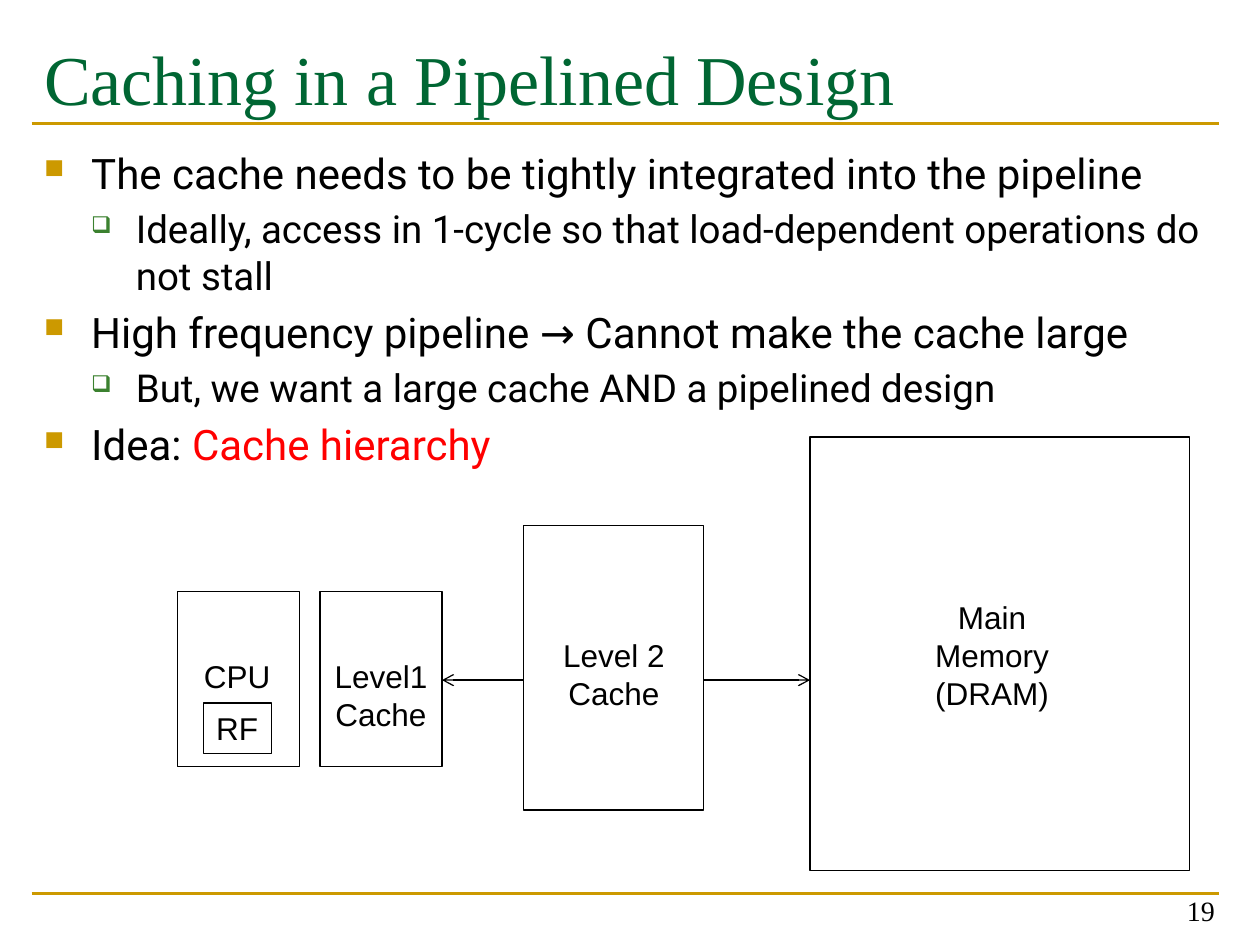
from lxml import etree
from pptx import Presentation
from pptx.dml.color import RGBColor
from pptx.enum.shapes import MSO_CONNECTOR as Connector, MSO_SHAPE as Shape
from pptx.enum.text import MSO_ANCHOR as Anchor, PP_ALIGN as Align
from pptx.oxml.ns import qn
from pptx.util import Cm, Pt

GREEN, GOLD, BLACK, WHITE, RED = "006633", "CC9900", "000000", "FFFFFF", "FF0000"
LEVELS = [
    {"size": 24, "margin": 0.95, "hang": 0.95, "bullet": "■", "color": GOLD, "scale": 65},
    {"size": 22, "margin": 1.85, "hang": 0.9, "bullet": "❑", "color": "3B812F", "scale": 60},
]
POINTS = [
    (0, [("The cache needs to be tightly integrated into the pipeline", BLACK)]),
    (1, [("Ideally, access in 1-cycle so that load-dependent operations do not stall", BLACK)]),
    (0, [("High frequency pipeline → Cannot make the cache large", BLACK)]),
    (1, [("But, we want a large cache AND a pipelined design", BLACK)]),
    (0, [("Idea: ", BLACK), ("Cache hierarchy", RED)]),
]


def rgb(color):
    """Turn a hex string into a colour."""
    return RGBColor.from_string(color)


def style_font(font, name, size, color=BLACK):
    """Set typeface, size and colour."""
    font.name, font.size = name, Pt(size)
    font.color.rgb = rgb(color)


def write_lines(frame, lines, name, size, color=BLACK, align=Align.LEFT):
    """Fill a text frame with one paragraph per line."""
    for index, line in enumerate(lines):
        paragraph = frame.add_paragraph() if index else frame.paragraphs[0]
        paragraph.text, paragraph.alignment = line, align
        style_font(paragraph.font, name, size, color)


def add_text(slide, left, top, width, height, wrap=True):
    """Add an empty text box and return its frame."""
    frame = slide.shapes.add_textbox(Cm(left), Cm(top), Cm(width), Cm(height)).text_frame
    frame.word_wrap = wrap
    return frame


def add_line(slide, start, end, color, width, arrows=False):
    """Draw a straight line, with open arrowheads at both ends if asked."""
    line = slide.shapes.add_connector(Connector.STRAIGHT, *map(Cm, start + end))
    line.line.color.rgb, line.line.width = rgb(color), Pt(width)
    if arrows:
        for end_tag in ("a:headEnd", "a:tailEnd"):
            etree.SubElement(line.line._get_or_add_ln(), qn(end_tag), type="arrow")
    etree.SubElement(line._element.spPr, qn("a:effectLst"))


def add_box(slide, left, top, width, height, fill=None):
    """Draw a thin black rectangle and return it."""
    shape = slide.shapes.add_shape(Shape.RECTANGLE, Cm(left), Cm(top), Cm(width), Cm(height))
    shape.shadow.inherit = False
    if fill:
        shape.fill.solid()
        shape.fill.fore_color.rgb = rgb(fill)
    else:
        shape.fill.background()
    shape.line.color.rgb, shape.line.width = rgb(BLACK), Pt(0.75)
    return shape


def add_bullet(paragraph, level):
    """Give a paragraph the hanging bullet of its level."""
    properties = paragraph._p.get_or_add_pPr()
    properties.set("marL", str(Cm(level["margin"])))
    properties.set("indent", str(-Cm(level["hang"])))
    color = etree.SubElement(properties, qn("a:buClr"))
    etree.SubElement(color, qn("a:srgbClr"), val=level["color"])
    etree.SubElement(properties, qn("a:buSzPct"), val=str(level["scale"] * 1000))
    etree.SubElement(properties, qn("a:buChar"), char=level["bullet"])


def add_title(slide, left, top, width, height):
    """Place the heading with the rule under it."""
    frame = add_text(slide, left, top, width, height)
    frame.margin_top = Cm(0.28)
    write_lines(frame, ["Caching in a Pipelined Design"], "Times New Roman", 40, GREEN)
    rule = top + 2.06
    add_line(slide, (left, rule), (left + width, rule), GOLD, 1.5)


def add_points(slide, left, top, width, height):
    """Place the two-level bullet list."""
    frame = add_text(slide, left, top, width, height)
    frame.margin_top = Cm(0.2)
    for index, (depth, runs) in enumerate(POINTS):
        level = LEVELS[depth]
        paragraph = frame.add_paragraph() if index else frame.paragraphs[0]
        paragraph.level = depth
        add_bullet(paragraph, level)
        if index:
            paragraph.space_before = Pt(level["size"] * 0.2)
        style_font(paragraph.font, "Roboto", level["size"])
        for text, color in runs:
            run = paragraph.add_run()
            run.text = text
            if color != BLACK:
                run.font.color.rgb = rgb(color)


def add_hierarchy(slide, left, top):
    """Draw the memory hierarchy from the CPU to main memory."""
    def label(lines, x, y, width, height, align=Align.CENTER, wrap=True):
        """Write a label at an offset inside the diagram."""
        frame = add_text(slide, left + x, top + y, width, height, wrap)
        write_lines(frame, lines, "Arial", 18, align=align)

    for x in (0, 2.87):
        add_box(slide, left + x, top + 3.12, 2.46, 3.53)
    add_box(slide, left + 12.75, top, 7.65, 8.74)
    label(["CPU"], 0.28, 4.32, 1.85, 1.02, Align.LEFT, False)
    label(["Level1", "Cache"], 2.87, 4.32, 2.46, 1.8)
    label(["Main", "Memory", "(DRAM)"], 15.01, 3.12, 2.82, 2.57)

    register_file = add_box(slide, left + 0.53, top + 5.36, 1.37, 1.02).text_frame
    register_file.word_wrap = False
    register_file.vertical_anchor = Anchor.TOP
    write_lines(register_file, ["RF"], "Arial", 18)

    middle = top + 4.9
    add_line(slide, (left + 12.75, middle), (left + 5.33, middle), BLACK, 0.75, arrows=True)
    add_box(slide, left + 6.98, top + 1.78, 3.63, 5.74, WHITE)
    label(["Level 2", "Cache"], 6.98, 3.89, 3.63, 1.8)


def add_footer(slide, left, top, width):
    """Place the bottom rule and the page number."""
    add_line(slide, (left, top), (left + width, top), GOLD, 1.5)
    frame = add_text(slide, left + width - 5.75, top - 0.46, 5.92, 1.27)
    frame.vertical_anchor = Anchor.BOTTOM
    write_lines(frame, ["19"], "Times New Roman", 16, align=Align.RIGHT)


def main():
    """Build and save the slide."""
    presentation = Presentation()
    presentation.slide_width, presentation.slide_height = Cm(25.4), Cm(19.05)
    slide = presentation.slides.add_slide(presentation.slide_layouts[6])
    margin, width = 0.64, 23.93
    add_footer(slide, margin, 18.01, width)
    add_title(slide, margin, 0.43, width, 2.97)
    add_points(slide, margin, 2.77, width, 14.43)
    add_hierarchy(slide, 3.58, 8.81)
    presentation.save("out.pptx")


if __name__ == "__main__":
    main()
